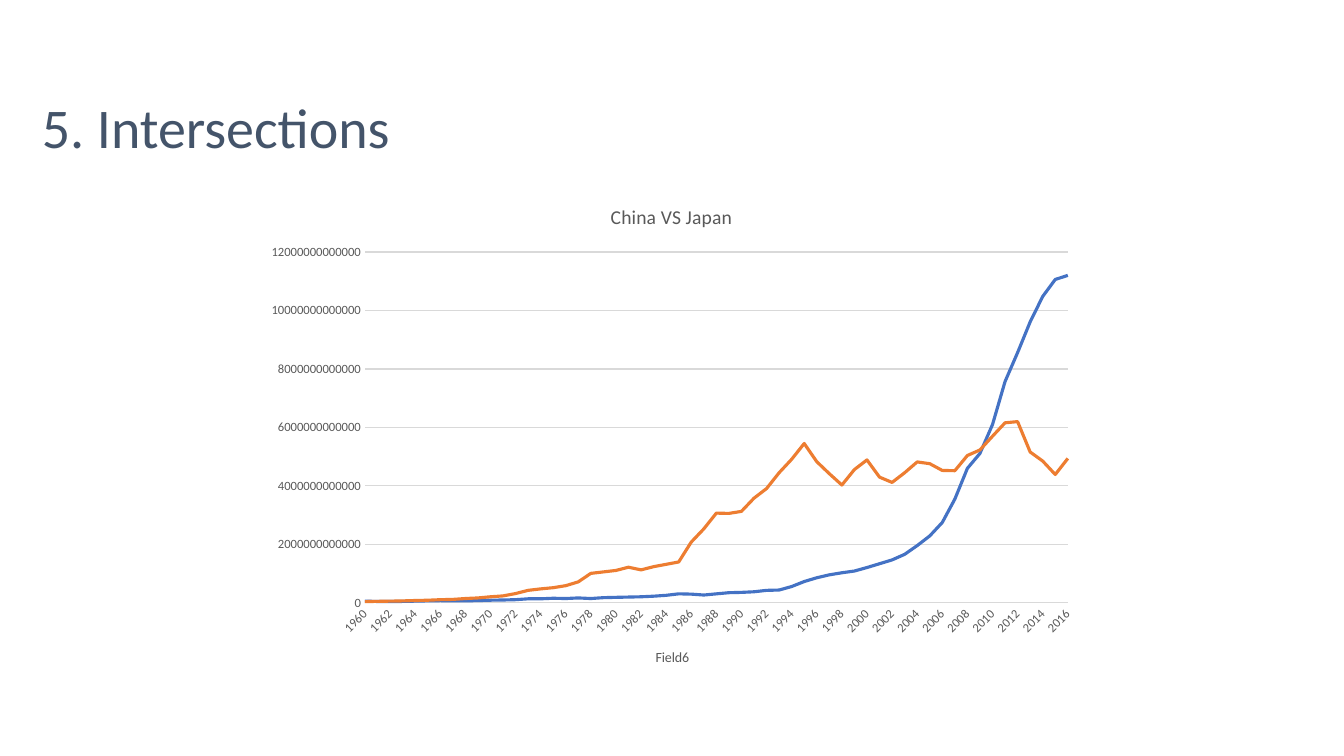
import pptx
import pptx.chart.data
import pptx.dml.color
import pptx.enum.chart
import pptx.oxml
import pptx.oxml.ns
import pptx.util

EMU_PER_PIXEL = 914400 / 100.8
FONT = "Calibri"
GREY = "595959"
RULE = "D9D9D9"
BILLION = 10 ** 9
FIRST_YEAR = 1960

CHINA = [
    60, 50, 47, 51, 60, 70, 77, 73, 71, 80, 93, 100, 110, 140, 140, 160, 150, 170, 150, 180,
    190, 200, 210, 230, 260, 310, 300, 270, 310, 350, 360, 380, 430, 440, 560, 730, 860, 960,
    1030, 1090, 1210, 1340, 1470, 1660, 1960, 2290, 2750, 3550, 4600, 5110, 6100, 7570, 8560,
    9610, 10480, 11060, 11200,
]
JAPAN = [
    44, 54, 61, 69, 82, 91, 110, 120, 150, 170, 210, 240, 320, 430, 480, 520, 590, 720, 1010,
    1060, 1110, 1220, 1130, 1240, 1320, 1400, 2080, 2530, 3070, 3060, 3130, 3580, 3910, 4450,
    4910, 5450, 4830, 4420, 4030, 4560, 4890, 4300, 4120, 4450, 4820, 4760, 4530, 4520, 5040,
    5230, 5700, 6160, 6200, 5160, 4850, 4390, 4940,
]
SERIES = [("Series 1", CHINA, "4472C4"), ("Series 2", JAPAN, "ED7D31")]

CHART_BOX = (254, 184, 835, 502)
PLOT_BOX = (365, 252, 703, 351)


def px(length):
    return pptx.util.Emu(round(length * EMU_PER_PIXEL))


def color(value):
    return pptx.dml.color.RGBColor.from_string(value)


def style_font(font, size, value):
    settings = {"name": FONT, "size": pptx.util.Pt(size), "bold": False}
    for name, setting in settings.items():
        setattr(font, name, setting)
    font.color.rgb = color(value)


def style_line(line, value, width):
    line.color.rgb = color(value)
    line.width = pptx.util.Pt(width)


def write(frame, text, size, value):
    span = frame.paragraphs[0].add_run()
    span.text = text
    style_font(span.font, size, value)


def chart_element(tag, value):
    element = pptx.oxml.parse_xml(f"<c:{tag} {pptx.oxml.ns.nsdecls('c')}/>")
    element.set("val", str(value))
    return element


def add_heading(page, text, box):
    heading = page.shapes.add_textbox(*map(px, box))
    heading.text_frame.word_wrap = True
    write(heading.text_frame, text, 40, "44546A")


def place_plot(chart):
    left, top, width, height = CHART_BOX
    plot_left, plot_top, plot_width, plot_height = PLOT_BOX
    fractions = {
        "x": (plot_left - left) / width,
        "y": (plot_top - top) / height,
        "w": plot_width / width,
        "h": plot_height / height,
    }
    layout = pptx.oxml.parse_xml(
        f"<c:layout {pptx.oxml.ns.nsdecls('c')}><c:manualLayout/></c:layout>"
    )
    manual = layout[0]
    manual.append(chart_element("layoutTarget", "inner"))
    for tag in ("xMode", "yMode"):
        manual.append(chart_element(tag, "edge"))
    for tag, fraction in fractions.items():
        manual.append(chart_element(tag, round(fraction, 4)))
    area = chart.element.find(".//" + pptx.oxml.ns.qn("c:plotArea"))
    for previous in area.findall(pptx.oxml.ns.qn("c:layout")):
        area.remove(previous)
    area.insert(0, layout)


def style_axis(axis, settings):
    ticks = pptx.enum.chart.XL_TICK_MARK.NONE
    settings = {"major_tick_mark": ticks, "minor_tick_mark": ticks, **settings}
    for name, setting in settings.items():
        setattr(axis, name, setting)
    style_font(axis.tick_labels.font, 9, GREY)


def style_year_axis(axis):
    style_axis(axis, {"has_major_gridlines": False})
    style_line(axis.format.line, RULE, 0.75)
    write(axis.axis_title.text_frame, "Field6", 10, GREY)
    body = axis._element.find(pptx.oxml.ns.qn("c:txPr")).find(pptx.oxml.ns.qn("a:bodyPr"))
    body.set("rot", "-2700000")
    body.set("vert", "horz")
    levels = axis._element.find(pptx.oxml.ns.qn("c:noMultiLvlLbl"))
    levels.addprevious(chart_element("tickLblSkip", 2))


def style_value_axis(axis):
    style_axis(axis, {
        "minimum_scale": 0,
        "maximum_scale": 12000 * BILLION,
        "major_unit": 2000 * BILLION,
        "has_major_gridlines": True,
    })
    axis.tick_labels.number_format = "0"
    axis.tick_labels.number_format_is_linked = False
    axis.format.line.fill.background()
    style_line(axis.major_gridlines.format.line, RULE, 0.75)
    crossing = axis._element.find(pptx.oxml.ns.qn("c:crossBetween"))
    if crossing is None:
        crossing = chart_element("crossBetween", "midCat")
        axis._element.find(pptx.oxml.ns.qn("c:crosses")).addnext(crossing)
    crossing.set("val", "midCat")


def add_line_chart(page, title):
    data = pptx.chart.data.CategoryChartData(number_format="0")
    data.categories = [str(FIRST_YEAR + offset) for offset in range(len(CHINA))]
    for name, billions, _ in SERIES:
        data.add_series(name, [value * BILLION for value in billions])
    kind = pptx.enum.chart.XL_CHART_TYPE.LINE
    chart = page.shapes.add_chart(kind, *map(px, CHART_BOX), data).chart
    style_font(chart.font, 10, "000000")
    chart.has_legend = False
    write(chart.chart_title.text_frame, title, 14, GREY)
    chart.chart_title.include_in_layout = False
    chart.plots[0].vary_by_categories = False
    for series, (_, _, value) in zip(chart.plots[0].series, SERIES):
        series.smooth = False
        style_line(series.format.line, value, 2.25)
    style_year_axis(chart.category_axis)
    style_value_axis(chart.value_axis)
    place_plot(chart)


def main():
    deck = pptx.Presentation()
    deck.slide_width, deck.slide_height = px(1344), px(756)
    page = deck.slides.add_slide(deck.slide_layouts[6])
    add_heading(page, "5. Intersections", (32, 88, 981, 78))
    add_line_chart(page, "China VS Japan")
    deck.save("out.pptx")


if __name__ == "__main__":
    main()
